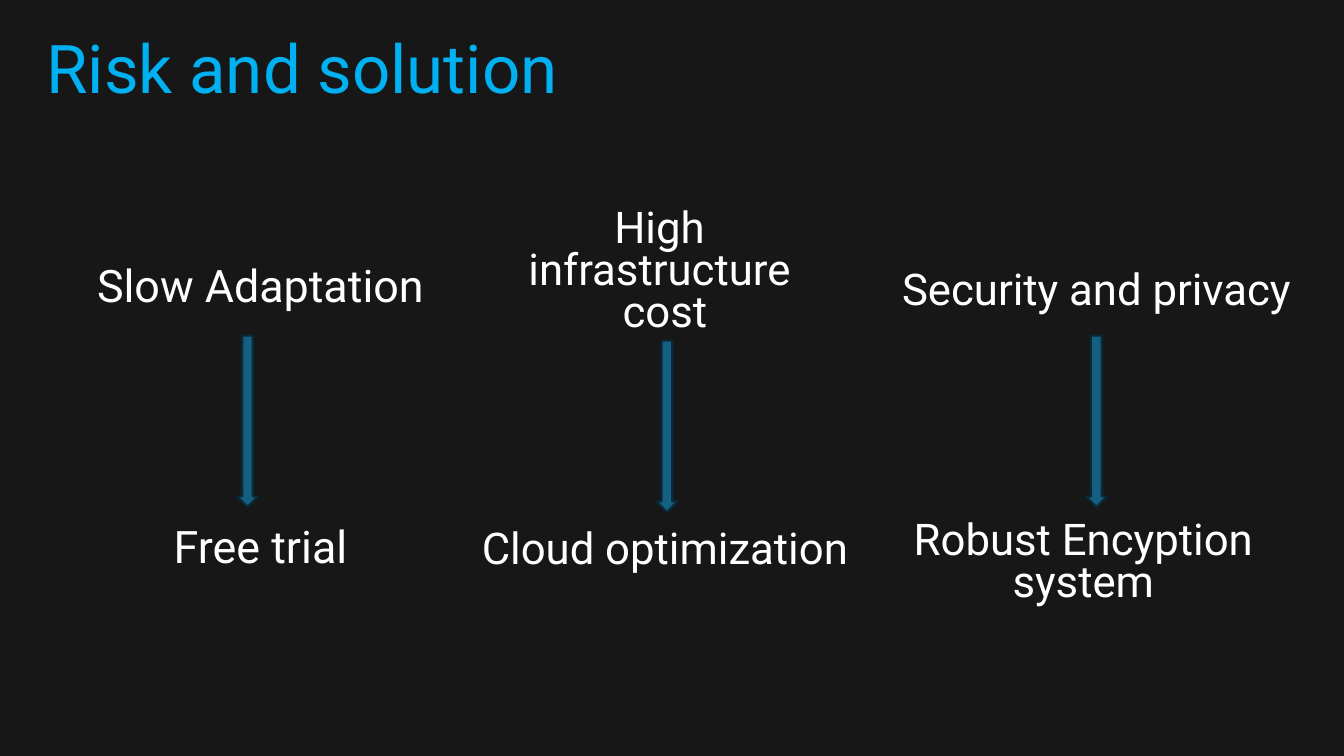
from dataclasses import dataclass

from pptx import Presentation
from pptx.dml.color import RGBColor
from pptx.enum.shapes import MSO_SHAPE
from pptx.enum.text import MSO_ANCHOR, MSO_AUTO_SIZE, PP_ALIGN
from pptx.util import Inches, Pt


@dataclass(frozen=True)
class Theme:
    font: str = "Roboto"
    background: RGBColor = RGBColor(0x17, 0x17, 0x17)
    heading: RGBColor = RGBColor(0x00, 0xB0, 0xF0)
    body: RGBColor = RGBColor(0xFF, 0xFF, 0xFF)
    arrow_fill: RGBColor = RGBColor(0x15, 0x60, 0x82)
    arrow_line: RGBColor = RGBColor(0x09, 0x2A, 0x39)
    arrow_line_width: float = 1.5
    heading_size: float = 48
    large_size: float = 32
    body_size: float = 31.2


class SlideBuilder:
    def __init__(self, slide, theme):
        self.slide = slide
        self.theme = theme
        slide.background.fill.solid()
        slide.background.fill.fore_color.rgb = theme.background

    def set_text(self, box, lines, size, color):
        frame = box.text_frame
        frame.word_wrap = True
        frame.auto_size = MSO_AUTO_SIZE.NONE
        frame.vertical_anchor = MSO_ANCHOR.BOTTOM
        for index, line in enumerate(lines):
            paragraph = frame.add_paragraph() if index else frame.paragraphs[0]
            paragraph.alignment = PP_ALIGN.CENTER
            paragraph.line_spacing = 0.8 if len(lines) > 1 else 0.9
            paragraph.space_before = Pt(0)
            run = paragraph.add_run()
            run.text = line
            run.font.name = self.theme.font
            run.font.size = Pt(size)
            run.font.color.rgb = color

    def title(self, text, left, top, width, height):
        heading = self.slide.shapes.title
        heading.left, heading.top = Inches(left), Inches(top)
        heading.width, heading.height = Inches(width), Inches(height)
        self.set_text(heading, [text], self.theme.heading_size, self.theme.heading)

    def label(self, lines, left, top, height, size):
        box = self.slide.shapes.add_textbox(
            Inches(left), Inches(top), Inches(4.93), Inches(height))
        self.set_text(box, lines, size, self.theme.body)

    def down_arrow(self, left, top):
        arrow = self.slide.shapes.add_shape(
            MSO_SHAPE.DOWN_ARROW, Inches(left), Inches(top), Inches(0.21), Inches(1.7))
        arrow.shadow.inherit = False
        arrow.fill.solid()
        arrow.fill.fore_color.rgb = self.theme.arrow_fill
        arrow.line.color.rgb = self.theme.arrow_line
        arrow.line.width = Pt(self.theme.arrow_line_width)


def main():
    deck = Presentation()
    deck.slide_width, deck.slide_height = Inches(13.33), Inches(7.5)
    theme = Theme()
    builder = SlideBuilder(deck.slides.add_slide(deck.slide_layouts[5]), theme)

    # Heading
    builder.title("Risk and solution ", -1.92, -0.29, 10, 1.41)

    # Each column: risk and solution (lines, left, top, height), arrow (left, top), size
    columns = [
        ((["Slow Adaptation"], 0.12, 2.45, 0.7),
         (["Free trial"], 0.12, 5.04, 0.7),
         (2.35, 3.33), theme.large_size),
        ((["High ", "infrastructure ", "cost"], 4.13, 1.97, 1.41),
         (["Cloud optimization"], 4.13, 5.04, 0.7),
         (6.51, 3.38), theme.body_size),
        ((["Security and privacy"], 8.41, 2.47, 0.7),
         (["Robust Encyption", "system"], 8.28, 5.05, 1.01),
         (10.77, 3.33), theme.body_size),
    ]
    for risk, solution, arrow, size in columns:
        builder.label(*risk, size)
        builder.label(*solution, size)
        builder.down_arrow(*arrow)

    deck.save("out.pptx")


if __name__ == "__main__":
    main()
